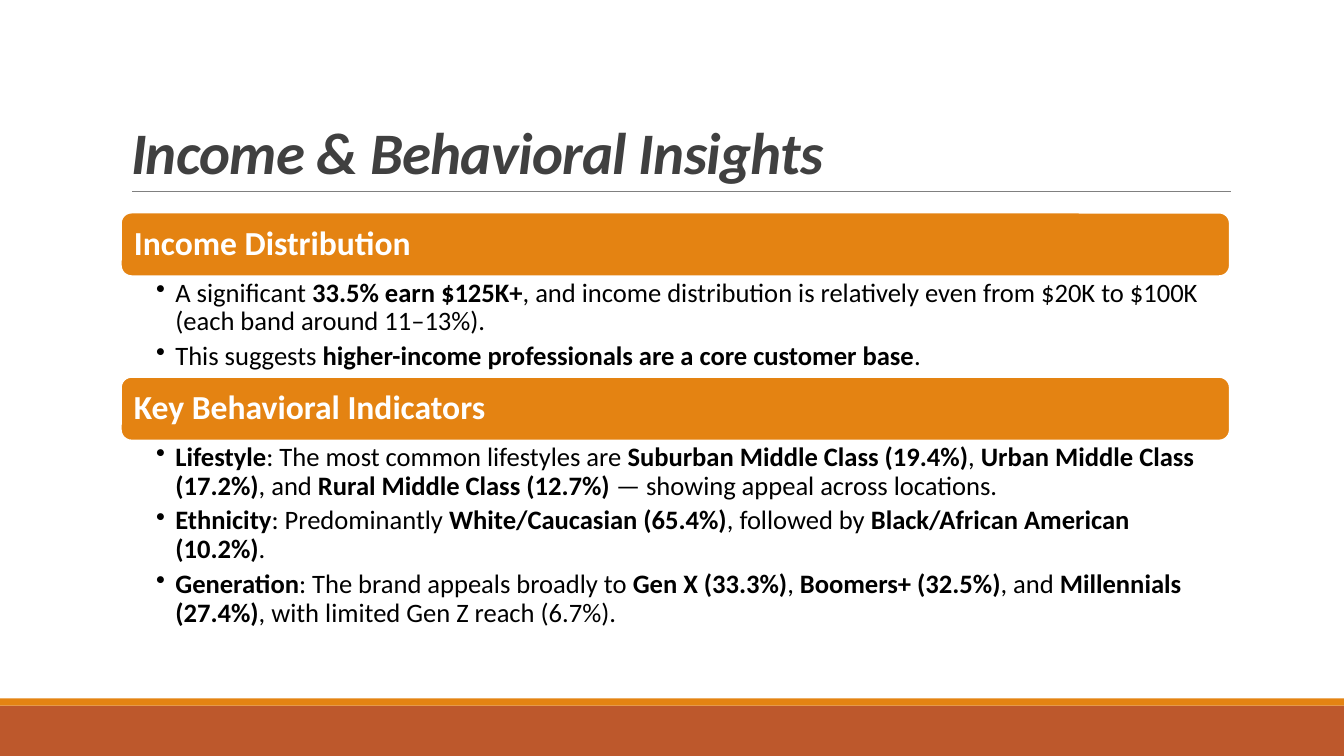
from lxml.etree import SubElement
from pptx import Presentation
from pptx.dml.color import RGBColor
from pptx.enum.shapes import MSO_CONNECTOR, MSO_SHAPE
from pptx.enum.text import MSO_ANCHOR, MSO_AUTO_SIZE, PP_ALIGN
from pptx.oxml.ns import qn
from pptx.util import Inches, Pt

COLORS = {
    "orange": "E48312",
    "rust": "BD582C",
    "rule": "808080",
    "title": "404040",
    "body": "000000",
    "white": "FFFFFF",
}
FONT = "Calibri"
COLUMNS, ROWS = 133.33, 75
LEFT, WIDTH = 12, 110
HEADER_HEIGHT = 6.3

# Each section: heading, top row, body height, bullets; every second span is bold.
SECTIONS = [
    ("Income Distribution", 21.1, 10.1, [
        ["A significant ", "33.5% earn $125K+",
         ", and income distribution is relatively even from $20K to $100K "
         "(each band around 11–13%)."],
        ["This suggests ", "higher-income professionals are a core customer base", "."],
    ]),
    ("Key Behavioral Indicators", 37.4, 19.6, [
        ["", "Lifestyle", ": The most common lifestyles are ",
         "Suburban Middle Class (19.4%)", ", ", "Urban Middle Class (17.2%)",
         ", and ", "Rural Middle Class (12.7%)",
         " — showing appeal across locations."],
        ["", "Ethnicity", ": Predominantly ", "White/Caucasian (65.4%)",
         ", followed by ", "Black/African American (10.2%)", "."],
        ["", "Generation", ": The brand appeals broadly to ", "Gen X (33.3%)",
         ", ", "Boomers+ (32.5%)", ", and ", "Millennials (27.4%)",
         ", with limited Gen Z reach (6.7%)."],
    ]),
]


def color(name):
    return RGBColor.from_string(COLORS[name])


class SlideBuilder:
    """Places styled elements on a grid of COLUMNS by ROWS."""

    def __init__(self, deck):
        self.deck = deck
        self.page = deck.slides.add_slide(deck.slide_layouts[5])

    def x(self, columns):
        return round(self.deck.slide_width * columns / COLUMNS)

    def y(self, rows):
        return round(self.deck.slide_height * rows / ROWS)

    def area(self, left, top, width, height):
        return self.x(left), self.y(top), self.x(width), self.y(height)

    def style(self, span, size, tone, bold=False, italic=False):
        font = span.font
        font.name, font.size = FONT, Pt(size)
        font.bold, font.italic = bold, italic
        font.color.rgb = color(tone)

    def block(self, kind, fill, *cells):
        """Add a filled preset shape without outline or shadow."""
        box = self.page.shapes.add_shape(kind, *self.area(*cells))
        box.shadow.inherit = False
        box.fill.solid()
        box.fill.fore_color.rgb = color(fill)
        box.line.fill.background()
        return box

    def rule(self, left, right, row):
        line = self.page.shapes.add_connector(
            MSO_CONNECTOR.STRAIGHT, self.x(left), self.y(row), self.x(right), self.y(row))
        line.line.color.rgb = color("rule")
        line.line.width = Pt(0.5)
        SubElement(line._element.spPr, qn("a:effectLst"))

    def title(self, text, *cells):
        box = self.page.shapes.title
        box.left, box.top, box.width, box.height = self.area(*cells)
        frame = box.text_frame
        frame.text = text
        frame.auto_size = MSO_AUTO_SIZE.NONE
        frame.vertical_anchor = MSO_ANCHOR.BOTTOM
        para = frame.paragraphs[0]
        para.alignment = PP_ALIGN.LEFT
        para.line_spacing = 0.85
        span = para.runs[0]
        self.style(span, 42, "title", bold=True, italic=True)
        span._r.get_or_add_rPr().set("spc", "-50")

    def header(self, text, top):
        box = self.block(MSO_SHAPE.ROUNDED_RECTANGLE, "orange",
                         LEFT, top, WIDTH, HEADER_HEIGHT)
        box.line.color.rgb = color("white")
        box.line.width = Pt(1.25)
        frame = box.text_frame
        frame.text = text
        frame.margin_left = Inches(0.1)
        frame.vertical_anchor = MSO_ANCHOR.MIDDLE
        para = frame.paragraphs[0]
        para.alignment = PP_ALIGN.LEFT
        para.line_spacing = 0.9
        self.style(para.runs[0], 24, "white", bold=True)

    def bullets(self, items, top, height):
        box = self.page.shapes.add_textbox(*self.area(LEFT, top, WIDTH, height))
        frame = box.text_frame
        frame.word_wrap = True
        frame.margin_left, frame.margin_right = Inches(0.35), Inches(0.19)
        frame.margin_top = frame.margin_bottom = Inches(0.03)
        for index, texts in enumerate(items):
            para = frame.add_paragraph() if index else frame.paragraphs[0]
            para.level = 1
            para.line_spacing = 0.9
            para.space_after = Pt(4.3)
            properties = para._p.get_or_add_pPr()
            properties.set("marL", str(Inches(0.19)))
            properties.set("indent", str(-Inches(0.19)))
            SubElement(properties, qn("a:buChar")).set("char", "•")
            for position, text in enumerate(texts):
                if text:
                    span = para.add_run()
                    span.text = text
                    self.style(span, 19, "body", bold=position % 2 == 1)


def main():
    deck = Presentation()
    deck.slide_width, deck.slide_height = Inches(13.33), Inches(7.5)
    slide = SlideBuilder(deck)
    slide.block(MSO_SHAPE.RECTANGLE, "rust", 0, 70, COLUMNS, 5)
    slide.block(MSO_SHAPE.RECTANGLE, "orange", 0, 69.3, COLUMNS, 0.7)
    slide.rule(13.1, 122.1, 19)
    slide.title("Income & Behavioral Insights", LEFT, 3.1, WIDTH, 15.9)
    for heading, top, height, items in SECTIONS:
        slide.header(heading, top)
        slide.bullets(items, top + HEADER_HEIGHT, height)
    deck.save("out.pptx")


if __name__ == "__main__":
    main()
